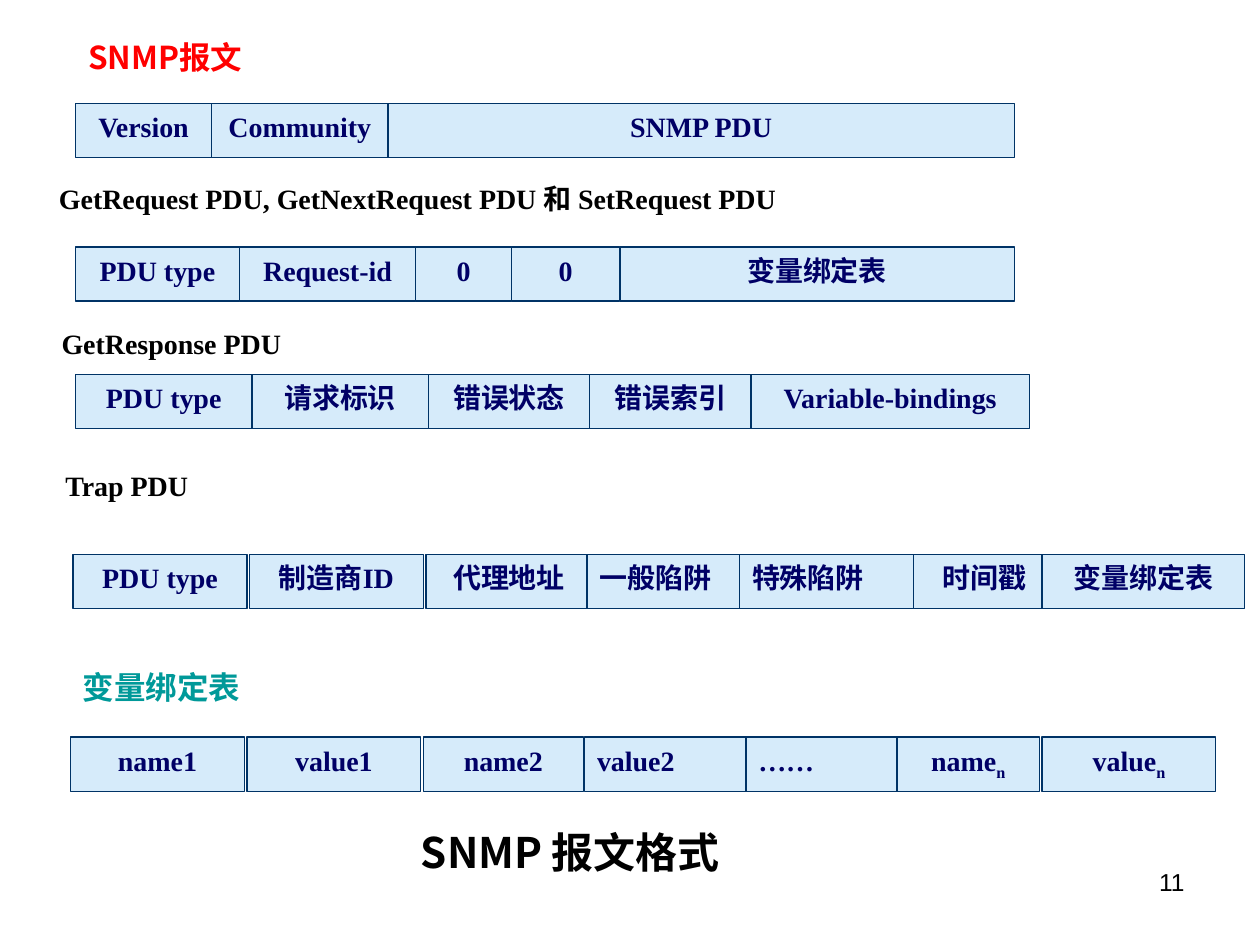
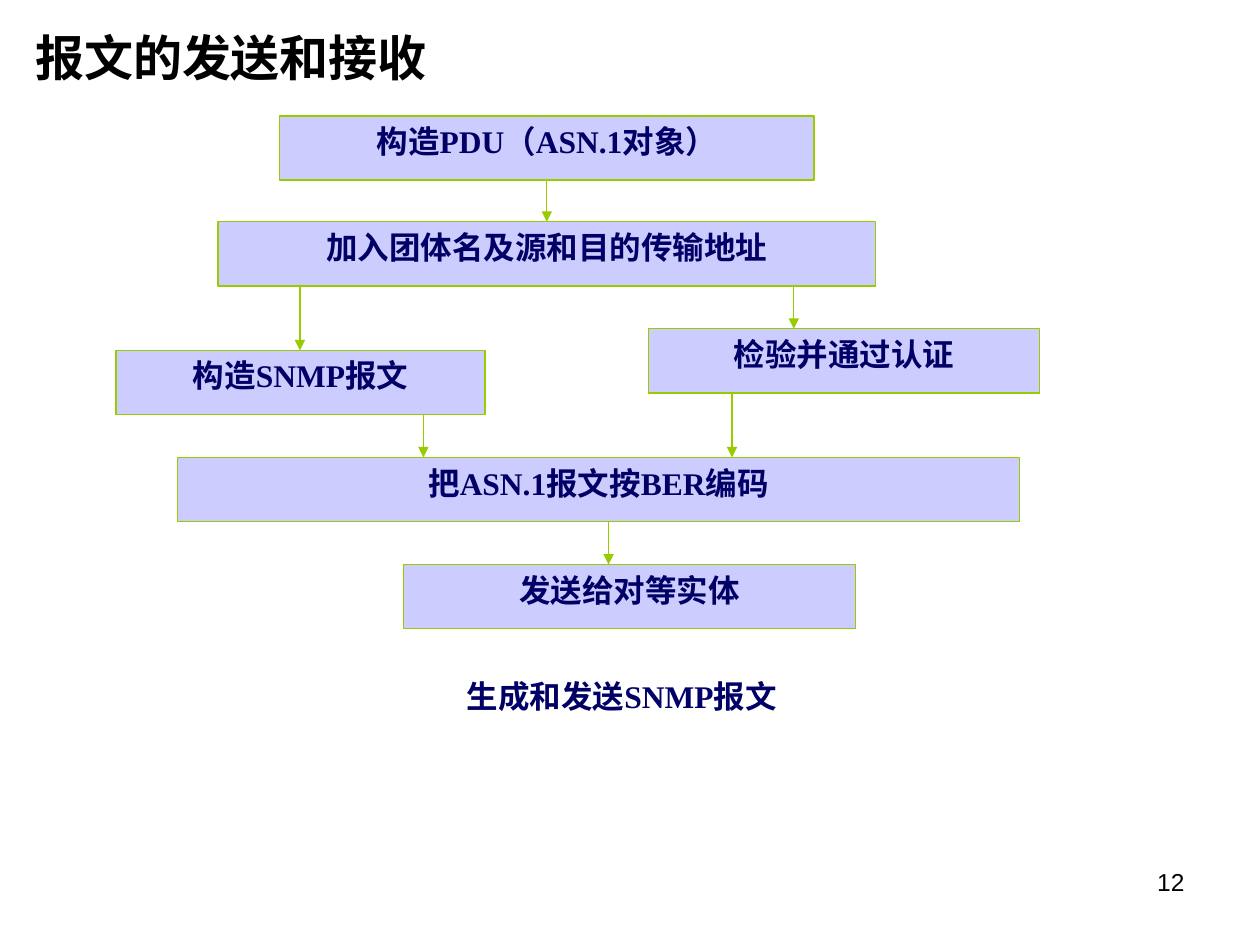
from lxml import etree
from pptx import Presentation
from pptx import util as u
from pptx.dml.color import RGBColor
from pptx.enum import shapes, text
from pptx.oxml.ns import qn

BLACK = RGBColor(0x00, 0x00, 0x00)
RED = RGBColor(0xFF, 0x00, 0x00)
TEAL = RGBColor(0x00, 0x99, 0x99)
NAVY = RGBColor(0x00, 0x00, 0x66)
FIELD_FILL = RGBColor(0xD6, 0xEB, 0xFA)
FIELD_LINE = RGBColor(0x00, 0x33, 0x66)
STEP_FILL = RGBColor(0xCC, 0xCC, 0xFF)
STEP_LINE = RGBColor(0x99, 0xCC, 0x00)
SERIF = "Times New Roman"
CJK = "Noto Sans CJK SC"
LEFT, CENTER, RIGHT = text.PP_ALIGN.LEFT, text.PP_ALIGN.CENTER, text.PP_ALIGN.RIGHT
FIELD_H = 0.43
STEP_H = 0.51
LEFT_FIELDS = ("一般陷阱", "特殊陷阱", "value2", "……")

HEADINGS = [
    ("SNMP报文", 0.6, 0.25, 1.98, 18, CJK, RED),
    ("GetRequest PDU, GetNextRequest PDU 和 SetRequest PDU", 0.37, 1.39, 6.87, 16, SERIF, BLACK),
    ("GetResponse PDU", 0.39, 2.54, 2.21, 16, SERIF, BLACK),
    ("Trap PDU", 0.42, 3.67, 1.86, 16, SERIF, BLACK),
    ("变量绑定表", 0.56, 5.25, 3.44, 18, SERIF, TEAL),
]
MESSAGE_ROWS = [
    (0.82, [("Version", 0.6, 1.08), ("Community", 1.68, 1.4), ("SNMP PDU", 3.08, 4.97)]),
    (1.96, [("PDU type", 0.6, 1.3), ("Request-id", 1.9, 1.4), ("0", 3.3, 0.76),
            ("0", 4.06, 0.86), ("变量绑定表", 4.92, 3.13)]),
    (2.97, [("PDU type", 0.6, 1.4), ("请求标识", 2, 1.4), ("错误状态", 3.4, 1.28),
            ("错误索引", 4.68, 1.28), ("Variable-bindings", 5.96, 2.21)]),
    (4.4, [("PDU type", 0.58, 1.38), ("制造商ID", 1.98, 1.38), ("代理地址", 3.38, 1.32),
           ("一般陷阱", 4.66, 1.28), ("特殊陷阱", 5.87, 1.38), ("时间戳", 7.25, 1.13),
           ("变量绑定表", 8.27, 1.61)]),
    (5.85, [("name1", 0.56, 1.38), ("value1", 1.96, 1.38), ("name2", 3.36, 1.27),
            ("value2", 4.64, 1.28), ("……", 5.92, 1.26), ("name_n", 7.12, 1.13),
            ("value_n", 8.27, 1.38)]),
]
STEPS = [
    ("构造PDU（ASN.1对象）", 2.22, 0.92, 4.24),
    ("加入团体名及源和目的传输地址", 1.73, 1.76, 5.22),
    ("构造SNMP报文", 0.92, 2.78, 2.93),
    ("检验并通过认证", 5.15, 2.61, 3.1),
    ("把ASN.1报文按BER编码", 1.41, 3.63, 6.68),
    ("发送给对等实体", 3.2, 4.48, 3.59),
]
ARROWS = [(0, 1, 4.34), (1, 2, 2.38), (1, 3, 6.3), (2, 4, 3.36), (3, 4, 5.81), (4, 5, 4.83)]


def box(left, top, width, height):
    return [u.Inches(v) for v in (left, top, width, height)]


def write(sp, content, size, color, font=SERIF, align=LEFT, bold=True):
    tf = sp.text_frame
    tf.word_wrap = True
    tf.auto_size = text.MSO_AUTO_SIZE.NONE
    tf.vertical_anchor = text.MSO_ANCHOR.TOP
    p = tf.paragraphs[0]
    p.alignment = align
    for i, part in enumerate(content.split("_")):
        r = p.add_run()
        r.text = part
        r.font.size = u.Pt(size)
        r.font.bold = bold
        r.font.name = font
        r.font.color.rgb = color
        rpr = r.font._element
        ea = etree.Element(qn("a:ea"), typeface=CJK)
        rpr.find(qn("a:latin")).addnext(ea)
        if i:
            rpr.set("baseline", "-25000")


def add_label(s, content, left, top, width, height, size, color, **style):
    sp = s.shapes.add_textbox(*box(left, top, width, height))
    write(sp, content, size, color, **style)


def add_box(s, content, left, top, width, height, size, fill, line, align=CENTER):
    sp = s.shapes.add_shape(shapes.MSO_SHAPE.RECTANGLE, *box(left, top, width, height))
    sp.shadow.inherit = False
    sp.fill.solid()
    sp.fill.fore_color.rgb = fill
    sp.line.color.rgb = line
    sp.line.width = u.Pt(0.75)
    write(sp, content, size, NAVY, align=align)


def add_arrow(s, x, top, bottom):
    c = s.shapes.add_connector(shapes.MSO_CONNECTOR.STRAIGHT,
                               *box(x, top, x, bottom))
    c.line.color.rgb = STEP_LINE
    c.line.width = u.Pt(0.75)
    etree.SubElement(c.line._get_or_add_ln(), qn("a:tailEnd"), type="triangle")
    etree.SubElement(c._element.spPr, qn("a:effectLst"))


def add_slide(prs, title, place, size, number):
    s = prs.slides.add_slide(prs.slide_layouts[5])
    sp = s.shapes.title
    sp.left, sp.top, sp.width, sp.height = box(*place)
    write(sp, title, size, BLACK, font=CJK)
    add_label(s, str(number), 7.17, 6.83, 2.33, 0.52, 14, BLACK,
              font="Arial", align=RIGHT, bold=False)
    return s


def add_message_formats(prs):
    s = add_slide(prs, "SNMP 报文格式", (3.24, 6.51, 2.91, 0.43), 24, 11)
    for content, left, top, width, size, font, color in HEADINGS:
        add_label(s, content, left, top, width, FIELD_H, size, color, font=font)
    for top, fields in MESSAGE_ROWS:
        for content, left, width in fields:
            align = LEFT if content in LEFT_FIELDS else CENTER
            add_box(s, content, left, top, width, FIELD_H, 16, FIELD_FILL, FIELD_LINE, align)


def add_sending_flow(prs):
    s = add_slide(prs, "报文的发送和接收", (0.18, 0.17, 9.5, 0.65), 28, 12)
    for content, left, top, width in STEPS:
        add_box(s, content, left, top, width, STEP_H, 18, STEP_FILL, STEP_LINE)
    for start, end, x in ARROWS:
        add_arrow(s, x, STEPS[start][2] + STEP_H, STEPS[end][2])
    add_label(s, "生成和发送SNMP报文", 2.41, 5.32, 5.05, STEP_H, 18, NAVY, align=CENTER)


def main():
    prs = Presentation()
    prs.slide_width, prs.slide_height = u.Inches(10), u.Inches(7.5)
    add_message_formats(prs)
    add_sending_flow(prs)
    prs.save("out.pptx")


if __name__ == "__main__":
    main()
